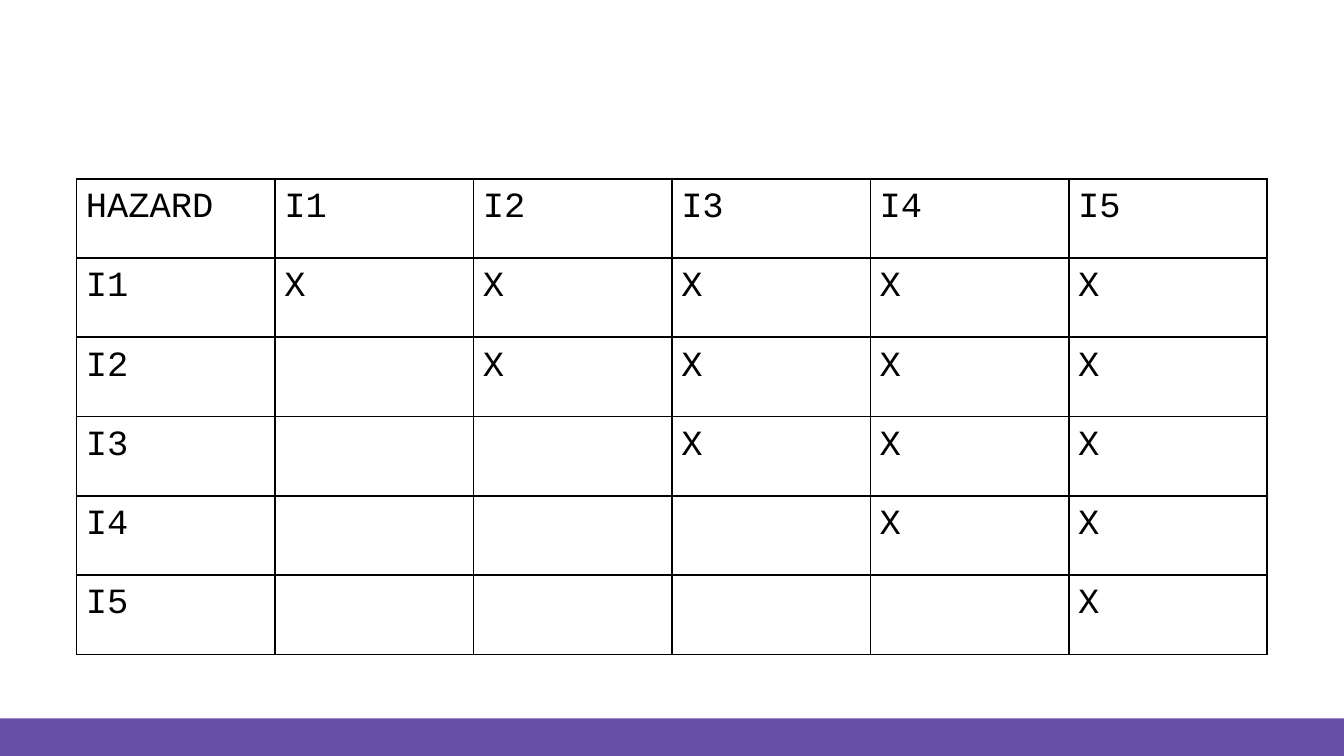
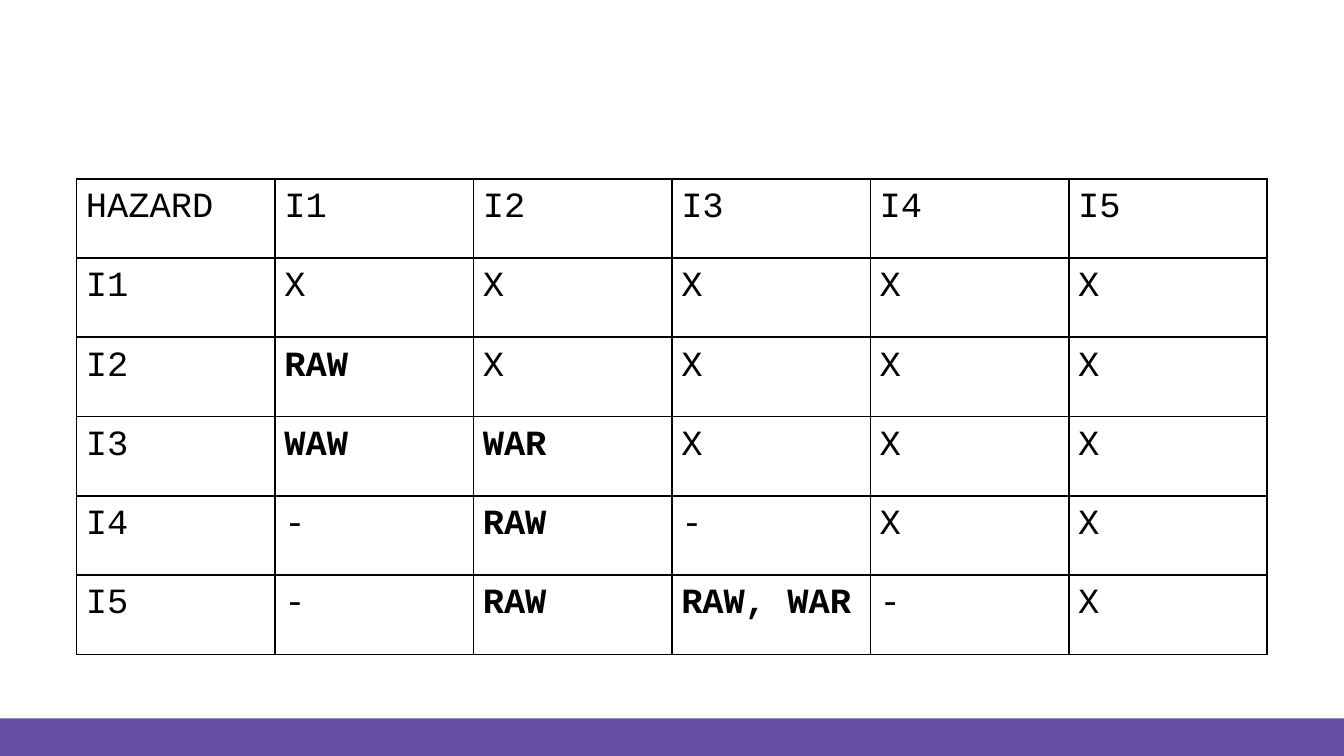
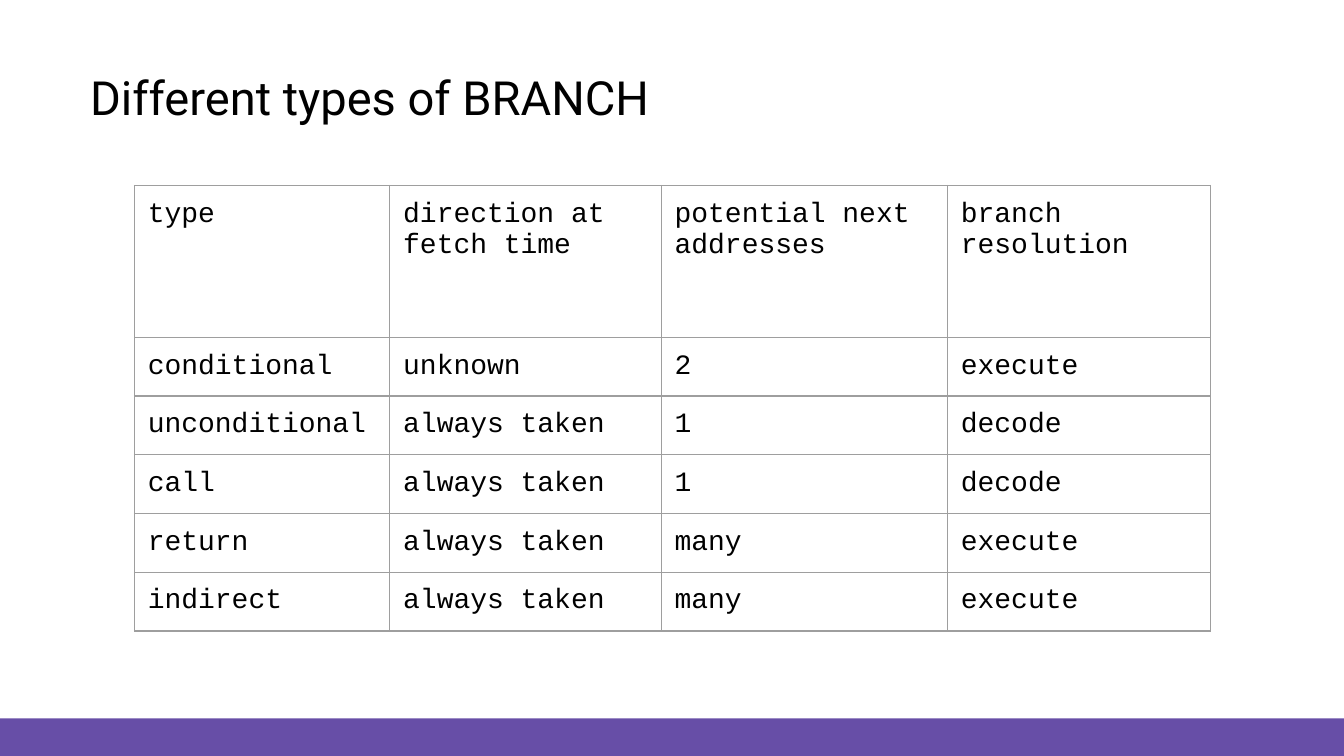
from lxml import etree
from pptx import Presentation
from pptx.dml.color import RGBColor
from pptx.enum import shapes, text
from pptx.oxml import ns
from pptx.util import Inches, Pt

# Shared look
PURPLE, BLACK, GREY = "674EA7", "000000", "9E9E9E"
MONO, SANS = "Courier New", "Roboto"
TITLE_ONLY, BLANK = 5, 6
SIDES = ("left", "right", "top", "bottom")
HAZARD_BOX = (0.57, 1.33, 8.86, 3.54)
BRANCH_BOX = (1, 1.38, 8.01, 3.28)
TITLE_BOX = (0.57, 0.41, 8.86, 0.63)

INSTRUCTIONS = ["I1", "I2", "I3", "I4", "I5"]
HAZARDS = {
    ("I2", "I1"): "RAW",
    ("I3", "I1"): "WAW", ("I3", "I2"): "WAR",
    ("I4", "I1"): "-", ("I4", "I2"): "RAW", ("I4", "I3"): "-",
    ("I5", "I1"): "-", ("I5", "I2"): "RAW", ("I5", "I3"): "RAW, WAR",
    ("I5", "I4"): "-",
}
BRANCHES = [
    ["type", "direction at fetch time", "potential next addresses",
     "branch resolution"],
    ["conditional", "unknown", "2", "execute"],
    ["unconditional", "always taken", "1", "decode"],
    ["call", "always taken", "1", "decode"],
    ["return", "always taken", "many", "execute"],
    ["indirect", "always taken", "many", "execute"],
]


def rgb(value):
    return RGBColor.from_string(value)


def set_attrs(obj, values):
    for name, value in values.items():
        setattr(obj, name, value)


def format_font(font, name, size, bold=False):
    set_attrs(font, {"name": name, "size": Pt(size), "bold": bold})
    font.color.rgb = rgb(BLACK)


def add_slide(prs, layout):
    """Add a slide with the purple band along its bottom edge."""
    s = prs.slides.add_slide(prs.slide_layouts[layout])
    height = Inches(0.28)
    band = s.shapes.add_shape(shapes.MSO_SHAPE.RECTANGLE, 0,
                              prs.slide_height - height,
                              prs.slide_width, height)
    band.shadow.inherit = False
    band.fill.solid()
    band.fill.fore_color.rgb = rgb(PURPLE)
    band.line.fill.background()
    return s


def add_title(s, box, wording):
    title = s.shapes.title
    set_attrs(title, dict(zip(("left", "top", "width", "height"),
                              map(Inches, box))))
    tf = title.text_frame
    set_attrs(tf, {f"margin_{side}": Inches(0.1) for side in SIDES})
    set_attrs(tf, {"vertical_anchor": text.MSO_ANCHOR.TOP, "word_wrap": True,
                   "auto_size": text.MSO_AUTO_SIZE.NONE})
    p = tf.paragraphs[0]
    p.alignment = text.PP_ALIGN.LEFT
    r = p.add_run()
    r.text = wording
    format_font(r.font, SANS, 25.2)


def add_borders(cell, color, width):
    tc_pr = cell._tc.get_or_add_tcPr()
    for side in SIDES:
        ln = etree.SubElement(tc_pr, ns.qn(f"a:ln{side[0].upper()}"),
                              w=str(Pt(width)))
        fill = etree.SubElement(ln, ns.qn("a:solidFill"))
        etree.SubElement(fill, ns.qn("a:srgbClr"), val=color)


def add_grid(s, box, rows, widths, heights, size, margin, border):
    """Draw rows of text as a plain table; hazard names are bold."""
    table = s.shapes.add_table(len(rows), len(widths),
                               *map(Inches, box)).table
    set_attrs(table, {"first_row": False, "horz_banding": False})
    for column, width in zip(table.columns, widths):
        column.width = Inches(width)
    for row, height, words in zip(table.rows, heights, rows):
        row.height = Inches(height)
        for cell, word in zip(row.cells, words):
            set_attrs(cell, {f"margin_{side}": Inches(margin)
                             for side in SIDES})
            add_borders(cell, *border)
            cell.fill.background()
            p = cell.text_frame.paragraphs[0]
            if word:
                r = p.add_run()
                r.text = word
                bold = word[:3] in ("RAW", "WAR", "WAW")
                format_font(r.font, MONO, size, bold)
            else:
                p.font.size = Pt(size)


def hazard_slide(prs, box, hazards):
    """Pairs on and above the diagonal are crossed out."""
    s = add_slide(prs, BLANK)
    rows = [["HAZARD"] + INSTRUCTIONS]
    for later in INSTRUCTIONS:
        rows.append([later] + ["X" if earlier >= later
                               else hazards.get((later, earlier), "")
                               for earlier in INSTRUCTIONS])
    n = len(rows)
    add_grid(s, box, rows, [box[2] / n] * n, [box[3] / n] * n,
             size=19, margin=0.07, border=(BLACK, 1))


def branch_slide(prs, box):
    s = add_slide(prs, TITLE_ONLY)
    add_title(s, TITLE_BOX, "Different types of BRANCH")
    add_grid(s, box, BRANCHES, [1.9, 2.02, 2.13, 1.96], [1.13] + [0.43] * 5,
             size=15, margin=0.1, border=(GREY, 0.75))


def main():
    prs = Presentation()
    width = Inches(10)
    set_attrs(prs, {"slide_width": width, "slide_height": width * 9 // 16})
    hazard_slide(prs, HAZARD_BOX, {})
    hazard_slide(prs, HAZARD_BOX, HAZARDS)
    branch_slide(prs, BRANCH_BOX)
    prs.save("out.pptx")


if __name__ == "__main__":
    main()
